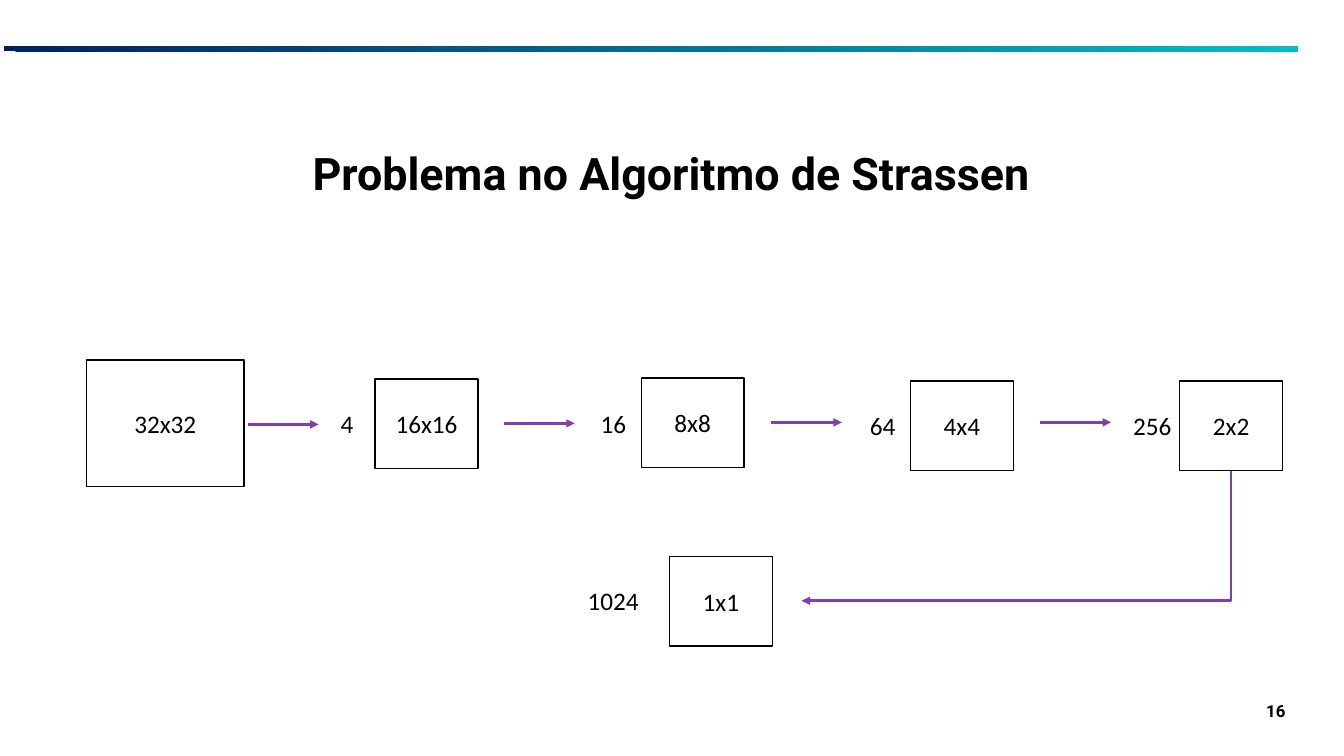
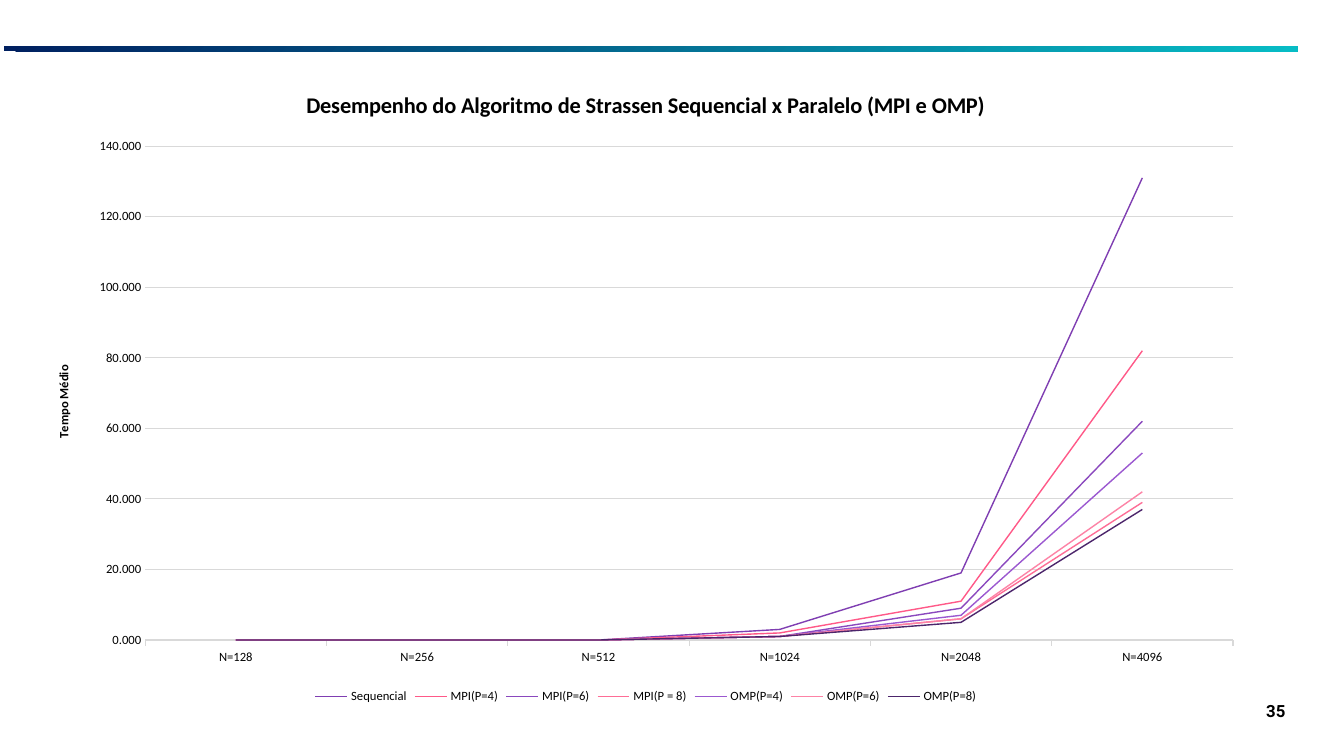
from pptx import Presentation
from pptx import util as u
from pptx.chart.data import CategoryChartData
from pptx.dml.color import RGBColor
from pptx.enum import chart as charts, shapes, text
from pptx.oxml import parse_xml
from pptx.oxml.ns import nsdecls, qn

COLORS = {
    "ink": "000000",
    "paper": "FFFFFF",
    "navy": "002060",
    "teal": "07BCC5",
    "arrow": "7F3EB2",
    "grid": "D9D9D9",
}
BODY_FONT = "Calibri"
HEAD_FONT = "Roboto"
BOX_WIDTH, BOX_HEIGHT = 1.02, 0.89
ARROW_LENGTH = 0.7
CHART_WIDTH, CHART_HEIGHT = 12.13, 6.35

STEPS = [
    ("16x16", 3.72, 3.76, "4", 3.28, 4.0, 2.46, 4.21),
    ("8x8", 6.36, 3.75, "16", 5.86, 4.0, 5.0, 4.2),
    ("4x4", 9.03, 3.78, "64", 8.53, 4.02, 7.65, 4.19),
    ("2x2", 11.7, 3.78, "256", 11.14, 4.02, 10.32, 4.19),
]
SIZES = ["N=128", "N=256", "N=512", "N=1024", "N=2048", "N=4096"]
TIMES = [
    ("Sequencial", "7F3EB2", [0, 0, 0, 3, 19, 131]),
    ("MPI(P=4)", "FF5988", [0, 0, 0, 2, 11, 82]),
    ("MPI(P=6)", "8A48BE", [0, 0, 0, 1, 9, 62]),
    ("MPI(P = 8)", "FE6D96", [0, 0, 0, 1, 6, 39]),
    ("OMP(P=4)", "9B58D0", [0, 0, 0, 1, 7, 53]),
    ("OMP(P=6)", "FD83A6", [0, 0, 0, 1, 6, 42]),
    ("OMP(P=8)", "4C256B", [0, 0, 0, 1, 5, 37]),
]


def rgb(value):
    return RGBColor.from_string(value)


def inches(*values):
    return [u.Inches(value) for value in values]


def style_font(font, size, name=BODY_FONT, bold=False):
    font.size = u.Pt(size)
    font.name = name
    font.bold = bold
    font.color.rgb = rgb(COLORS["ink"])


def style_line(line, color, width):
    line.color.rgb = rgb(color)
    line.width = u.Pt(width)


def write(para, content, size, name=BODY_FONT, bold=False):
    span = para.add_run()
    span.text = content
    style_font(span.font, size, name, bold)


def add_label(page, content, left, top, width, height=0.4, size=18, name=BODY_FONT, bold=False):
    box = page.shapes.add_textbox(*inches(left, top, width, height))
    frame = box.text_frame
    frame.word_wrap = False
    frame.auto_size = text.MSO_AUTO_SIZE.SHAPE_TO_FIT_TEXT
    write(frame.paragraphs[0], content, size, name, bold)


def add_page_number(page, number):
    add_label(page, number, 12.46, 6.9, 0.4, 0.3, 12, HEAD_FONT, True)


def add_master_band(deck, page):
    band = page.shapes.add_shape(shapes.MSO_SHAPE.RECTANGLE, *inches(0.04, 0.46, 12.83, 0.05))
    band.shadow.inherit = False
    band.line.fill.background()
    band.fill.gradient()
    band.fill.gradient_angle = 315
    for stop, color in zip(band.fill.gradient_stops, ("navy", "teal")):
        stop.color.rgb = rgb(COLORS[color])
    deck.slide_master.shapes.element.append(band.element)


def set_title(page, content):
    title = page.shapes.title
    title.left, title.top, title.width, title.height = inches(1.95, 1.48, 9.42, 0.54)
    frame = title.text_frame
    frame.auto_size = text.MSO_AUTO_SIZE.NONE
    frame.vertical_anchor = text.MSO_ANCHOR.MIDDLE
    frame.margin_left = frame.margin_right = 0
    para = frame.paragraphs[0]
    para.alignment = text.PP_ALIGN.CENTER
    para.line_spacing = 0.9
    write(para, content, 32, HEAD_FONT, True)


def add_matrix(page, content, left, top, width=BOX_WIDTH, height=BOX_HEIGHT):
    box = page.shapes.add_shape(shapes.MSO_SHAPE.RECTANGLE, *inches(left, top, width, height))
    box.shadow.inherit = False
    box.fill.solid()
    box.fill.fore_color.rgb = rgb(COLORS["paper"])
    style_line(box.line, COLORS["ink"], 1)
    frame = box.text_frame
    frame.margin_left = frame.margin_right = frame.margin_top = frame.margin_bottom = 0
    frame.vertical_anchor = text.MSO_ANCHOR.MIDDLE
    para = frame.paragraphs[0]
    para.alignment = text.PP_ALIGN.CENTER
    write(para, content, 18)


def add_arrow(page, kind, left, top, right, bottom):
    arrow = page.shapes.add_connector(kind, *inches(left, top, right, bottom))
    style_line(arrow.line, COLORS["arrow"], 2)
    properties = arrow.element.spPr
    properties.find(qn("a:ln")).append(parse_xml(f'<a:tailEnd {nsdecls("a")} type="triangle"/>'))
    properties.append(parse_xml(f'<a:effectLst {nsdecls("a")}/>'))
    return properties


def add_corner_arrow(page, start_x, start_y, end_x, end_y):
    reach, drop = start_x - end_x, end_y - start_y
    left = (start_x + end_x - drop) / 2
    top = (start_y + end_y - reach) / 2
    properties = add_arrow(page, shapes.MSO_CONNECTOR.ELBOW, left, top, left + drop, top + reach)
    properties.find(qn("a:prstGeom")).set("prst", "bentConnector2")
    properties.find(qn("a:xfrm")).set("rot", str(90 * 60000))


def build_problem(page):
    set_title(page, "Problema no Algoritmo de Strassen")
    add_matrix(page, "32x32", 0.86, 3.57, 1.56, 1.26)
    for label, left, top, count, count_left, count_top, arrow_left, arrow_top in STEPS:
        add_matrix(page, label, left, top)
        add_arrow(page, shapes.MSO_CONNECTOR.STRAIGHT,
                  arrow_left, arrow_top, arrow_left + ARROW_LENGTH, arrow_top)
        add_label(page, count, count_left, count_top, 0.2 + 0.13 * len(count))
    add_matrix(page, "1x1", 6.64, 5.52)
    add_label(page, "1024", 5.73, 5.76, 0.71)
    add_corner_arrow(page, 12.21, 4.67, 7.95, 5.96)


def place_plot(chart, left, top, width, height):
    area = chart.element.xpath("c:chart/c:plotArea")[0]
    for old in area.findall(qn("c:layout")):
        area.remove(old)
    fractions = {"x": left / CHART_WIDTH, "y": top / CHART_HEIGHT,
                 "w": width / CHART_WIDTH, "h": height / CHART_HEIGHT}
    sizes = "".join(f'<c:{key} val="{value:.4f}"/>' for key, value in fractions.items())
    area.insert(0, parse_xml(
        f'<c:layout {nsdecls("c")}><c:manualLayout><c:layoutTarget val="inner"/>'
        f'<c:xMode val="edge"/><c:yMode val="edge"/>{sizes}</c:manualLayout></c:layout>'))


def style_axes(chart):
    category, value = chart.category_axis, chart.value_axis
    for axis in (category, value):
        style_font(axis.tick_labels.font, 9)
        axis.minor_tick_mark = charts.XL_TICK_MARK.NONE
    category.major_tick_mark = charts.XL_TICK_MARK.OUTSIDE
    style_line(category.format.line, COLORS["grid"], 0.75)
    value.major_tick_mark = charts.XL_TICK_MARK.NONE
    value.format.line.fill.background()
    value.minimum_scale, value.maximum_scale, value.major_unit = 0, 140, 20
    value.tick_labels.number_format = "0.000"
    value.tick_labels.number_format_is_linked = False
    style_line(value.major_gridlines.format.line, COLORS["grid"], 0.75)
    write(value.axis_title.text_frame.paragraphs[0], "Tempo Médio", 9, bold=True)


def build_performance(page):
    data = CategoryChartData(number_format="0.000")
    data.categories = SIZES
    for name, _, values in TIMES:
        data.add_series(name, values)
    chart = page.shapes.add_chart(
        charts.XL_CHART_TYPE.LINE, *inches(0.34, 0.67, CHART_WIDTH, CHART_HEIGHT), data).chart
    style_font(chart.font, 10)
    chart.has_title = True
    write(chart.chart_title.text_frame.paragraphs[0],
          "Desempenho do Algoritmo de Strassen Sequencial x Paralelo (MPI e OMP)", 16, bold=True)
    chart.chart_title.include_in_layout = False
    chart.has_legend = True
    chart.legend.position = charts.XL_LEGEND_POSITION.BOTTOM
    chart.legend.include_in_layout = False
    style_font(chart.legend.font, 9)
    style_axes(chart)
    plot = chart.plots[0]
    plot.vary_by_categories = False
    for series, (_, color, _) in zip(plot.series, TIMES):
        series.smooth = False
        style_line(series.format.line, color, 1)
    place_plot(chart, 1.1, 0.78, 10.79, 4.9)


def main():
    deck = Presentation()
    deck.slide_width, deck.slide_height = inches(13.33, 7.5)
    title_layout, blank_layout = deck.slide_layouts[5], deck.slide_layouts[6]
    problem = deck.slides.add_slide(title_layout)
    add_master_band(deck, problem)
    build_problem(problem)
    add_page_number(problem, "16")
    performance = deck.slides.add_slide(blank_layout)
    build_performance(performance)
    add_page_number(performance, "35")
    deck.save("out.pptx")


if __name__ == "__main__":
    main()
